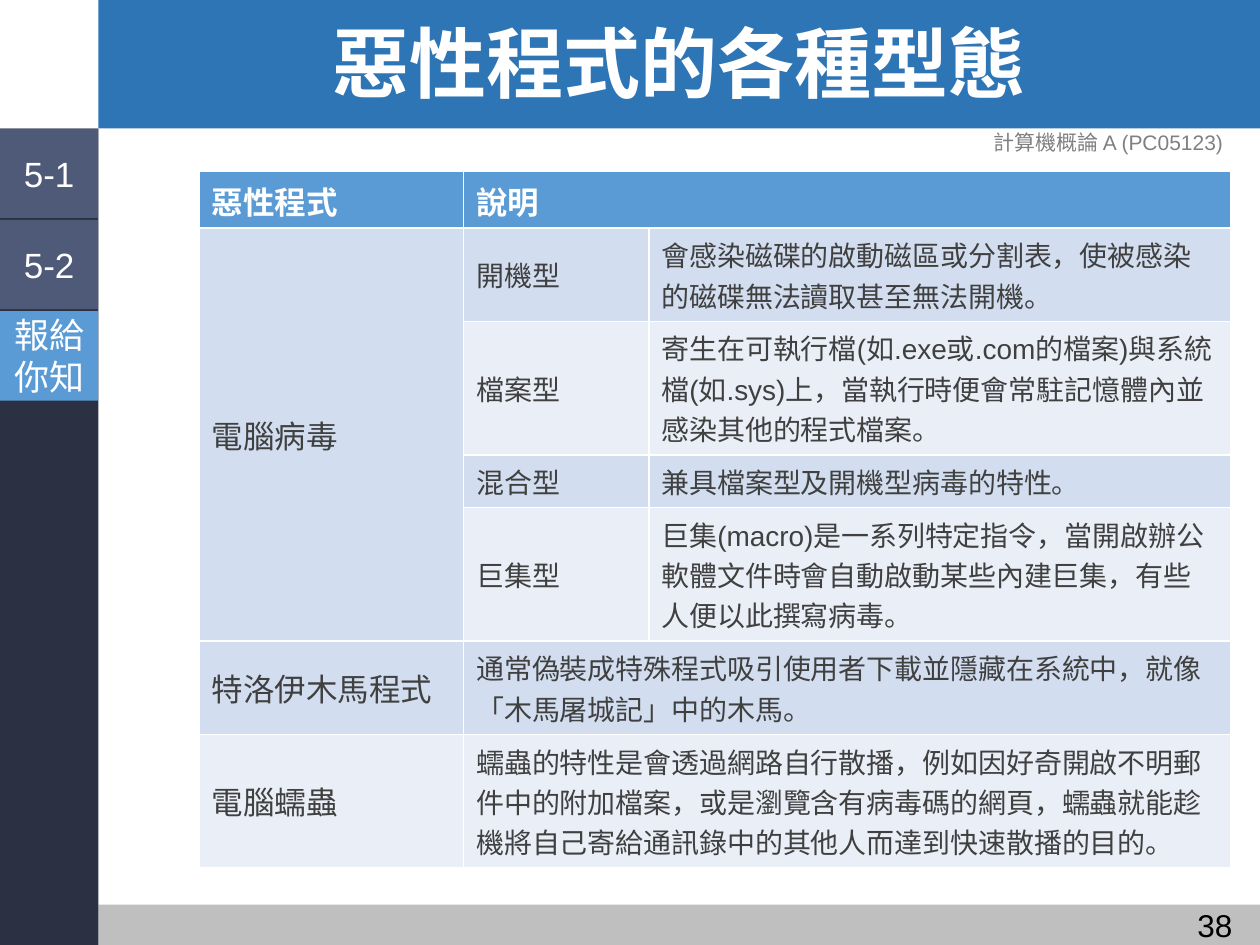
import pptx
import pptx.dml.color
import pptx.enum.shapes
import pptx.enum.text
import pptx.util

Inches = pptx.util.Inches
Pt = pptx.util.Pt
RGBColor = pptx.dml.color.RGBColor
ALIGN = pptx.enum.text.PP_ALIGN
MIDDLE = pptx.enum.text.MSO_ANCHOR.MIDDLE

WHITE = RGBColor(0xFF, 0xFF, 0xFF)
BLACK = RGBColor(0, 0, 0)
GRAY = RGBColor(0x80, 0x80, 0x80)
DARK_GRAY = RGBColor(0x40, 0x40, 0x40)
FOOTER_GRAY = RGBColor(0xBF, 0xBF, 0xBF)
TITLE_BLUE = RGBColor(0x2E, 0x75, 0xB6)
ACCENT_BLUE = RGBColor(0x5B, 0x9B, 0xD5)
NAVY = RGBColor(0x2B, 0x31, 0x42)
SLATE = RGBColor(0x4F, 0x5A, 0x79)
BAND_DARK = RGBColor(0xD2, 0xDE, 0xEF)
BAND_LIGHT = RGBColor(0xEA, 0xEF, 0xF7)

VIRUS_TYPES = [
    ("開機型", "會感染磁碟的啟動磁區或分割表，使被感染的磁碟無法讀取甚至無法開機。"),
    ("檔案型", "寄生在可執行檔(如.exe或.com的檔案)與系統檔(如.sys)上，"
            "當執行時便會常駐記憶體內並感染其他的程式檔案。"),
    ("混合型", "兼具檔案型及開機型病毒的特性。"),
    ("巨集型", "巨集(macro)是一系列特定指令，當開啟辦公軟體文件時會自動啟動某些內建巨集，"
            "有些人便以此撰寫病毒。"),
]
OTHER_MALWARE = [
    ("特洛伊木馬程式", "通常偽裝成特殊程式吸引使用者下載並隱藏在系統中，"
                "就像「木馬屠城記」中的木馬。"),
    ("電腦蠕蟲", "蠕蟲的特性是會透過網路自行散播，例如因好奇開啟不明郵件中的附加檔案，"
             "或是瀏覽含有病毒碼的網頁，蠕蟲就能趁機將自己寄給通訊錄中的其他人而達到"
             "快速散播的目的。"),
]
COLUMN_WIDTHS = [2.1, 1.47, 4.62]
ROW_HEIGHTS = [0.45, 0.74, 1.06, 0.42, 1.06, 0.74, 1.06]
TABS = [("5-1", SLATE), ("5-2", SLATE), ("報給\n你知", ACCENT_BLUE)]


def write(frame, text, size, color, bold=False, align=None):
    """Fill a text frame and format every run in it."""
    frame.text = text
    for para in frame.paragraphs:
        if align is not None:
            para.alignment = align
        for span in para.runs:
            span.font.name = "Arial"
            span.font.size = Pt(size)
            span.font.bold = bold
            span.font.color.rgb = color


def add_block(page, left, top, width, height, color):
    """Add a plain filled rectangle without line or shadow."""
    block = page.shapes.add_shape(
        pptx.enum.shapes.MSO_SHAPE.RECTANGLE,
        Inches(left), Inches(top), Inches(width), Inches(height))
    block.shadow.inherit = False
    block.fill.solid()
    block.fill.fore_color.rgb = color
    block.line.fill.background()
    return block


def add_label(page, left, top, width, height, text, size, color, align):
    """Add a one-line text box centred vertically."""
    box = page.shapes.add_textbox(
        Inches(left), Inches(top), Inches(width), Inches(height))
    box.text_frame.word_wrap = True
    box.text_frame.vertical_anchor = MIDDLE
    write(box.text_frame, text, size, color, align=align)


def place_title(page, left, top, width, height, text):
    """Move and format the title placeholder."""
    title = page.shapes.title
    title.left, title.top = Inches(left), Inches(top)
    title.width, title.height = Inches(width), Inches(height)
    title.text_frame.vertical_anchor = MIDDLE
    write(title.text_frame, text, 44, WHITE, True, ALIGN.CENTER)
    title.text_frame.paragraphs[0].line_spacing = 0.9


def add_tabs(page, left, top, width, height, pitch):
    """Stack the section tabs downwards at an equal pitch."""
    for index, (text, color) in enumerate(TABS):
        tab = add_block(page, left, top + index * pitch, width, height, color)
        frame = tab.text_frame
        frame.margin_left = frame.margin_right = Inches(0.04)
        frame.margin_top = frame.margin_bottom = Inches(0.04)
        frame.word_wrap = False
        frame.vertical_anchor = MIDDLE
        write(frame, text, 20, WHITE, align=ALIGN.CENTER)


def fill_cell(cell, text, size, color=DARK_GRAY, bold=False):
    """Write one table cell, centred vertically."""
    write(cell.text_frame, text, size, color, bold)
    cell.vertical_anchor = MIDDLE


def add_malware_table(page, left, top):
    """Add the table of malware kinds and their descriptions."""
    table = page.shapes.add_table(
        len(ROW_HEIGHTS), len(COLUMN_WIDTHS), Inches(left), Inches(top),
        Inches(sum(COLUMN_WIDTHS)), Inches(sum(ROW_HEIGHTS))).table
    for column, width in zip(table.columns, COLUMN_WIDTHS):
        column.width = Inches(width)
    for index, (row, height) in enumerate(zip(table.rows, ROW_HEIGHTS)):
        row.height = Inches(height)
        band = BAND_DARK if index % 2 else BAND_LIGHT
        for cell in row.cells:
            cell.fill.solid()
            cell.fill.fore_color.rgb = band if index else ACCENT_BLUE

    first_other = 1 + len(VIRUS_TYPES)
    table.cell(1, 0).merge(table.cell(first_other - 1, 0))
    for index in (0, *range(first_other, len(ROW_HEIGHTS))):
        table.cell(index, 1).merge(table.cell(index, 2))

    fill_cell(table.cell(0, 0), "惡性程式", 18, WHITE, True)
    fill_cell(table.cell(0, 1), "說明", 18, WHITE, True)
    fill_cell(table.cell(1, 0), "電腦病毒", 18)
    for index, (kind, description) in enumerate(VIRUS_TYPES, 1):
        fill_cell(table.cell(index, 1), kind, 16)
        fill_cell(table.cell(index, 2), description, 16)
    for index, (kind, description) in enumerate(OTHER_MALWARE, first_other):
        fill_cell(table.cell(index, 0), kind, 18)
        fill_cell(table.cell(index, 1), description, 16)


def add_frame(page):
    """Add the title band, footer band and side bar behind the content."""
    bands = [add_block(page, 0.78, 0, 9.22, 1.02, TITLE_BLUE),
             add_block(page, 0.78, 7.18, 9.22, 0.32, FOOTER_GRAY),
             add_block(page, -0.01, 1.02, 0.79, 6.48, NAVY)]
    title = page.shapes.title
    for band in bands:
        title._element.addprevious(band._element)


def main():
    """Build and save the slide."""
    deck = pptx.Presentation()
    deck.slide_width, deck.slide_height = Inches(10), Inches(7.5)
    page = deck.slides.add_slide(deck.slide_layouts[5])
    add_frame(page)
    place_title(page, 0.78, 0.03, 9.22, 1.02, "惡性程式的各種型態")
    add_label(page, 8.82, 7.14, 1.06, 0.4, "38", 18, BLACK, ALIGN.RIGHT)
    add_malware_table(page, 1.58, 1.36)
    add_label(page, 7.59, 0.93, 2.41, 0.4, "計算機概論 A (PC05123)", 12, GRAY,
              ALIGN.CENTER)
    add_tabs(page, 0, 1.02, 0.78, 0.71, 0.725)
    deck.save("out.pptx")


if __name__ == "__main__":
    main()
